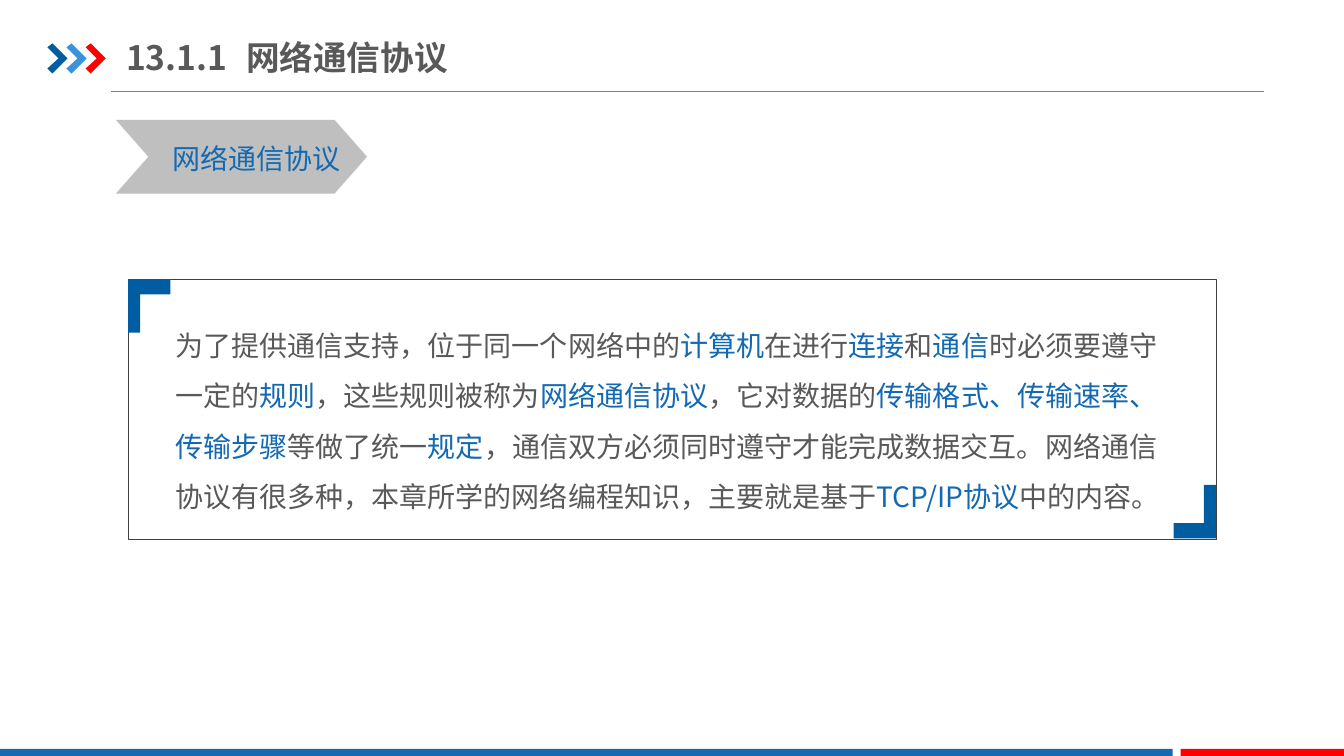
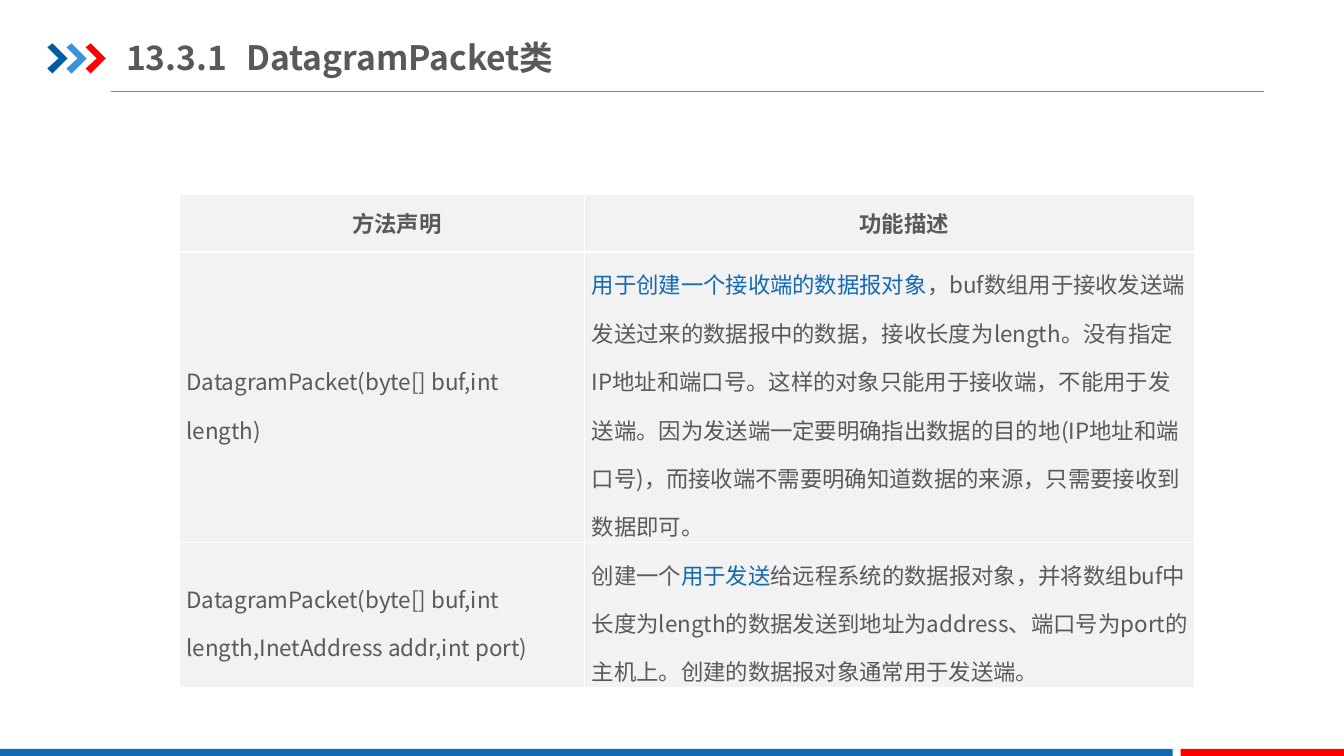
"""Build two lesson slides on network protocols and the DatagramPacket class."""
from lxml import etree
from pptx import Presentation
from pptx import util as u
from pptx.dml.color import RGBColor
from pptx.enum import shapes, text
from pptx.oxml.ns import qn

BLUE = RGBColor(0x13, 0x69, 0xB2)
DARK_BLUE = RGBColor(0x00, 0x5D, 0xA2)
LIGHT_BLUE = RGBColor(0x39, 0x92, 0xDB)
RED = RGBColor(0xFF, 0x00, 0x00)
TEXT_GRAY = RGBColor(0x59, 0x59, 0x59)
LINE_GRAY = RGBColor(0x80, 0x80, 0x80)
FRAME_GRAY = RGBColor(0x40, 0x40, 0x40)
LABEL_GRAY = RGBColor(0xBF, 0xBF, 0xBF)
CELL_GRAY = RGBColor(0xF2, 0xF2, 0xF2)
WHITE = RGBColor(0xFF, 0xFF, 0xFF)

FONT = "Noto Sans CJK SC"
TITLE = {"size": u.Pt(24), "bold": True}
BODY = {"size": u.Pt(20), "bold": False}
HEADER = {"size": u.Pt(16), "bold": True}
CELL = {"size": u.Pt(16), "bold": False}
TITLE_FRAME = {"margin_left": 0, "margin_right": 0, "margin_top": u.Inches(0.07),
               "margin_bottom": u.Inches(0.07), "word_wrap": True,
               "vertical_anchor": text.MSO_ANCHOR.MIDDLE}
CELL_FRAME = {"margin_left": u.Inches(0.07), "margin_right": u.Inches(0.07),
              "margin_top": 0, "margin_bottom": 0}

ARROW = [(0, 0.04), (0.05, 0), (0.2, 0.15), (0.05, 0.3), (0, 0.25), (0.11, 0.15)]
BRACKET = [(0, 0), (0.42, 0), (0.42, 0.15), (0.12, 0.15), (0.12, 0.53), (0, 0.53)]


def apply(target, values):
    for name, value in values.items():
        setattr(target, name, value)


class Deck:
    def __init__(self):
        self.presentation = Presentation()
        apply(self.presentation, {"slide_width": u.Inches(13.33),
                                  "slide_height": u.Inches(7.5)})
        self.slide = None

    def add_slide(self, number, title):
        self.slide = self.presentation.slides.add_slide(
            self.presentation.slide_layouts[6])
        self.line(1.1, 0.91, 12.54, 0.91)
        for index, color in enumerate((DARK_BLUE, LIGHT_BLUE, RED)):
            self.outline(ARROW, 0.47 + index * 0.19, 0.43, color)
        bar = shapes.MSO_SHAPE.RECTANGLE
        self.shape(bar, 0, 7.43, 11.63, 0.09, fill=BLUE)
        self.shape(bar, 11.71, 7.43, 1.63, 0.09, fill=RED)
        paragraph = self.text(f"{number}\t{title}", 1.25, 0.29, 5.71, 0.55,
                              TITLE, TITLE_FRAME)
        stops = etree.SubElement(paragraph._p.get_or_add_pPr(), qn("a:tabLst"))
        etree.SubElement(stops, qn("a:tab"), pos=str(u.Inches(1.19)), algn="l")

    def line(self, x1, y1, x2, y2):
        connector = self.slide.shapes.add_connector(
            shapes.MSO_CONNECTOR.STRAIGHT, *map(u.Inches, (x1, y1, x2, y2)))
        connector.line.color.rgb = LINE_GRAY
        connector.line.width = u.Pt(0.75)
        etree.SubElement(connector._element.spPr, qn("a:effectLst"))

    def paint(self, shape, fill=None, line=None):
        shape.shadow.inherit = False
        if fill is None:
            shape.fill.background()
        else:
            shape.fill.solid()
            shape.fill.fore_color.rgb = fill
        if line is None:
            shape.line.fill.background()
        else:
            shape.line.color.rgb = line
            shape.line.width = u.Pt(0.25)
        return shape

    def shape(self, kind, left, top, width, height, **colors):
        shape = self.slide.shapes.add_shape(
            kind, *map(u.Inches, (left, top, width, height)))
        return self.paint(shape, **colors)

    def outline(self, points, left, top, fill, rotation=0):
        corners = [(u.Inches(left + x), u.Inches(top + y)) for x, y in points]
        builder = self.slide.shapes.build_freeform(*corners[0])
        builder.add_line_segments(corners[1:], close=True)
        self.paint(builder.convert_to_shape(), fill).rotation = rotation

    def text(self, content, left, top, width, height, font, frame, **layout):
        box = self.slide.shapes.add_textbox(
            *map(u.Inches, (left, top, width, height)))
        apply(box.text_frame, frame)
        paragraph = box.text_frame.paragraphs[0]
        self.add_runs(paragraph, content, font, **layout)
        return paragraph

    def add_runs(self, paragraph, content, font, color=TEXT_GRAY, **layout):
        """Add runs of content, colouring the parts between asterisks blue."""
        apply(paragraph, layout)
        for index, part in enumerate(content.split("*")):
            if part:
                run = paragraph.add_run()
                run.text = part
                apply(run.font, {**font, "name": FONT})
                run.font.color.rgb = BLUE if index % 2 else color
                etree.SubElement(run.font._element, qn("a:ea"), typeface=FONT)

    def cell(self, cell, content, font, anchor, **layout):
        apply(cell, {**CELL_FRAME, "vertical_anchor": anchor})
        properties = cell._tc.get_or_add_tcPr()
        for side in ("lnL", "lnR", "lnT", "lnB"):
            border = etree.SubElement(properties, qn(f"a:{side}"), w=str(u.Pt(1)))
            fill = etree.SubElement(border, qn("a:solidFill"))
            etree.SubElement(fill, qn("a:srgbClr"), val=str(WHITE))
        cell.fill.solid()
        cell.fill.fore_color.rgb = CELL_GRAY
        paragraph = cell.text_frame.paragraphs[0]
        self.add_runs(paragraph, content, font, **layout)
        return paragraph

    def table(self, rows, left, top, widths, heights):
        table = self.slide.shapes.add_table(
            len(rows), len(widths), *map(
                u.Inches, (left, top, sum(widths), sum(heights)))).table
        apply(table, {"first_row": False, "horz_banding": False})
        for column, width in zip(table.columns, widths):
            column.width = u.Inches(width)
        for row, height in zip(table.rows, heights):
            row.height = u.Inches(height)
        middle, upper = text.MSO_ANCHOR.MIDDLE, text.MSO_ANCHOR.TOP
        for cell, content in zip(table.rows[0].cells, rows[0]):
            paragraph = self.cell(cell, content, HEADER, middle,
                                  alignment=text.PP_ALIGN.CENTER)
            paragraph._p.get_or_add_pPr().set("indent", str(u.Inches(0.29)))
        for row, contents in zip(list(table.rows)[1:], rows[1:]):
            for cell, content, anchor in zip(row.cells, contents, (middle, upper)):
                self.cell(cell, content, CELL, anchor, line_spacing=1.5)


def protocol_slide(deck):
    deck.add_slide("13.1.1", "网络通信协议")
    label = deck.shape(shapes.MSO_SHAPE.CHEVRON, 1.15, 1.19, 2.49, 0.73,
                       fill=LABEL_GRAY)
    label.adjustments[0] = 0.44
    deck.text(
        "为了提供通信支持，位于同一个网络中的*计算机*在进行*连接*和*通信*"
        "时必须要遵守一定的*规则*，这些规则被称为*网络通信协议*，它对数据的"
        "*传输格式、传输速率、传输步骤*等做了统一*规定*，通信双方必须同时遵守"
        "才能完成数据交互。网络通信协议有很多种，本章所学的网络编程知识，"
        "主要就是基于*TCP/IP协议*中的内容。",
        1.64, 3.04, 10.08, 2.12, BODY, {"word_wrap": True}, line_spacing=1.5)
    deck.text("网络通信协议", 1.61, 1.35, 1.87, 0.44, BODY,
              {"word_wrap": False}, color=BLUE)
    deck.shape(shapes.MSO_SHAPE.RECTANGLE, 1.27, 2.77, 10.79, 2.58,
               line=FRAME_GRAY)
    deck.outline(BRACKET, 1.27, 2.77, DARK_BLUE)
    deck.outline(BRACKET, 11.64, 4.81, DARK_BLUE, rotation=180)


def packet_slide(deck):
    deck.add_slide("13.3.1", "DatagramPacket类")
    deck.table([
        ("方法声明", "功能描述"),
        ("DatagramPacket(byte[] buf,int length)",
         "*用于创建一个接收端的数据报对象*，buf数组用于接收发送端发送过来的"
         "数据报中的数据，接收长度为length。没有指定IP地址和端口号。这样的对象"
         "只能用于接收端，不能用于发送端。因为发送端一定要明确指出数据的目的地"
         "(IP地址和端口号)，而接收端不需要明确知道数据的来源，只需要接收到"
         "数据即可。"),
        ("DatagramPacket(byte[] buf,int length,InetAddress addr,int port)",
         "创建一个*用于发送*给远程系统的数据报对象，并将数组buf中长度为length"
         "的数据发送到地址为address、端口号为port的主机上。创建的数据报对象"
         "通常用于发送端。"),
    ], 1.78, 1.93, (4.02, 6.05), (0.57, 2.88, 1.44))


def main():
    deck = Deck()
    protocol_slide(deck)
    packet_slide(deck)
    deck.presentation.save("out.pptx")


if __name__ == "__main__":
    main()
